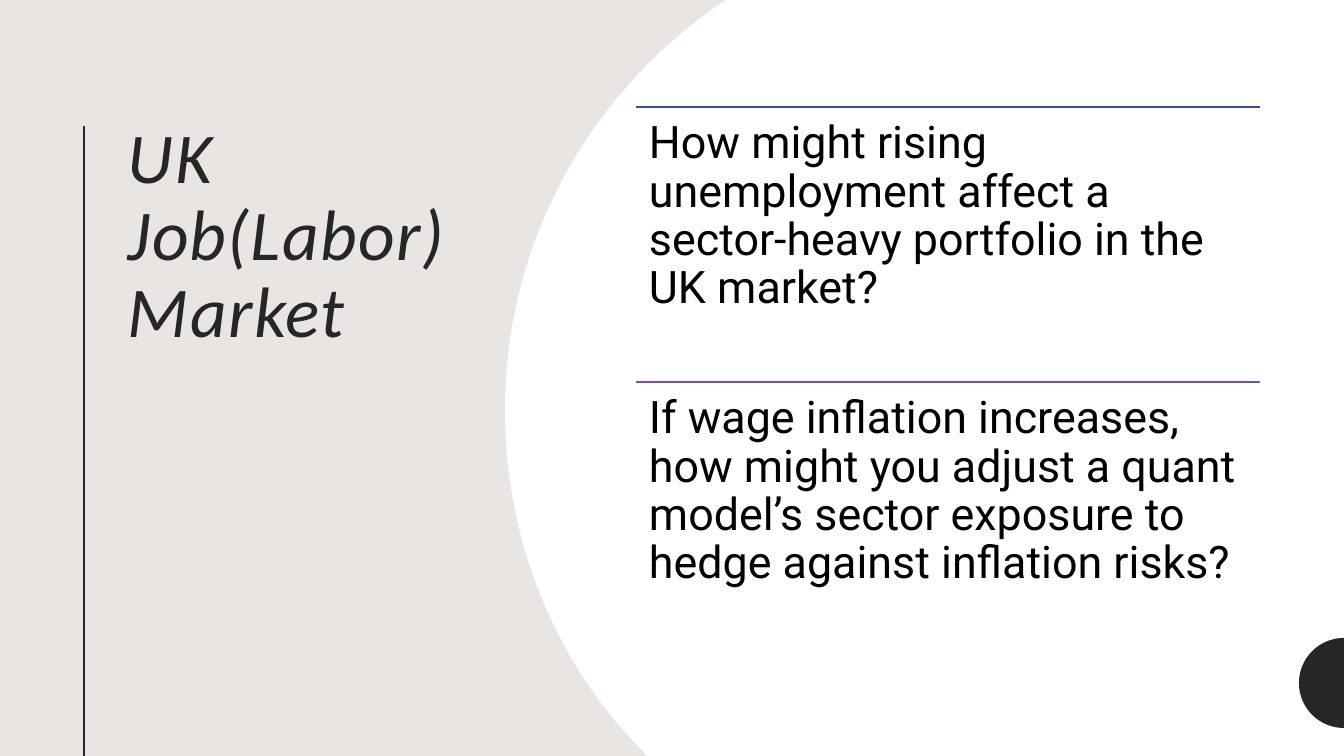
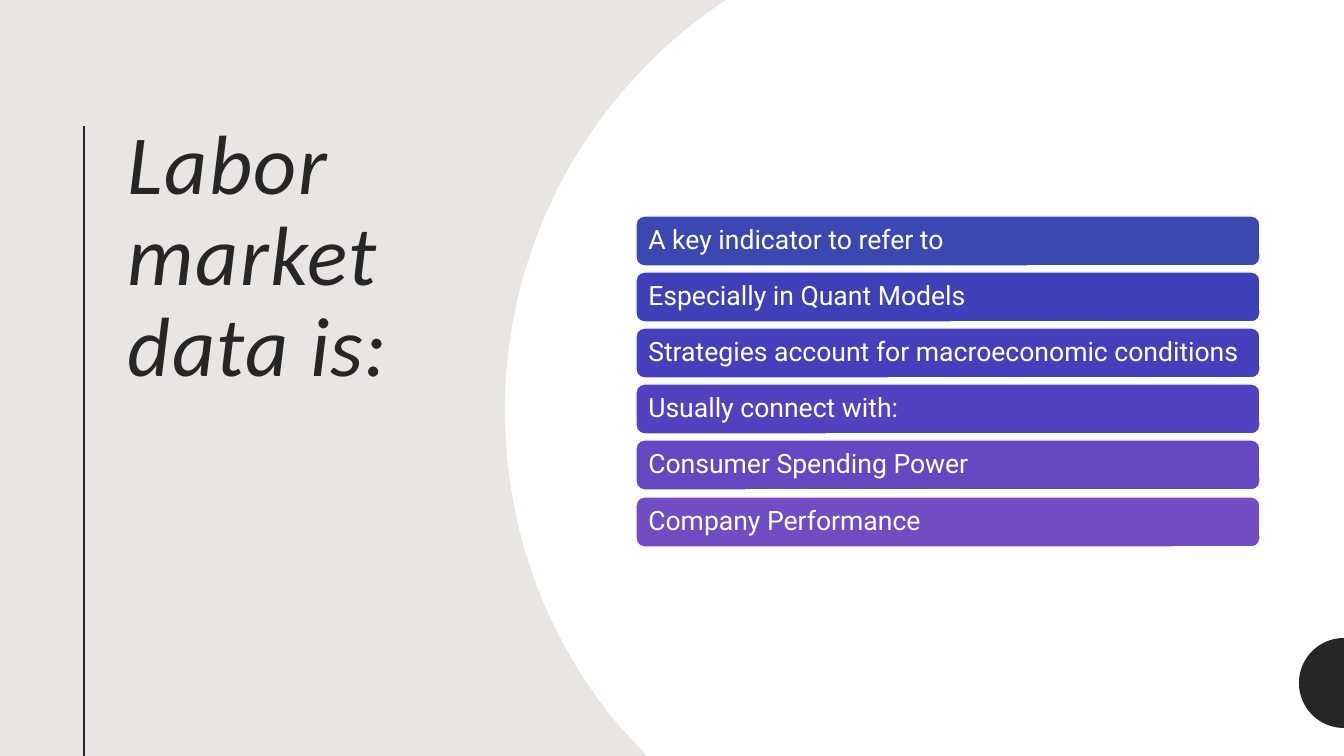
from math import cos, pi, sin
from lxml.etree import SubElement
from pptx import Presentation
from pptx.dml.color import RGBColor
from pptx.enum.shapes import MSO_CONNECTOR as LINK, MSO_SHAPE as SHAPE
from pptx.enum.text import MSO_ANCHOR as ANCHOR, PP_ALIGN as ALIGN
from pptx.oxml.ns import qn
from pptx.util import Pt

PX = 12192000 / 1344
WIDE, HIGH = 1344, 756
SAND, DARK, WHITE, BLACK = "E8E5E2", "262626", "FFFFFF", "000000"
LEFT, SPAN = 636, 624


def px(*nums):
    return [round(n * PX) for n in nums]


def hue(code):
    return RGBColor.from_string(code)


deck = Presentation()
deck.slide_width, deck.slide_height = px(WIDE, HIGH)

curves = [
    [(616, 722), (546, 637), (505, 529), (505, 410)],
    [(505, 410), (505, 242), (590, 93), (720, 4)],
]
dome = [(727, 0), (WIDE, 0), (WIDE, HIGH), (647, HIGH)]
for a, b, c, d in curves:
    for step in range(41):
        t = step / 40
        u = 1 - t
        dome.append([
            u**3 * p + 3 * u * u * t * q + 3 * u * t * t * r + t**3 * s
            for p, q, r, s in zip(a, b, c, d)
        ])
disc = [
    (WIDE - 45 * sin(k * pi / 40), 683 - 45 * cos(k * pi / 40))
    for k in range(41)
]

head = {"name": "Calibri", "italic": True}
ask = {"name": "Roboto", "size": Pt(32)}
item = {"name": "Roboto", "size": Pt(19)}

pages = [
    ("UK Job(Labor) Market", 51, [
        ("How might rising unemployment affect a sector-heavy portfolio in the UK market?", "3B48B1"),
        ("If wage inflation increases, how might you adjust a quant model’s sector exposure to hedge against inflation risks?", "714DC3"),
    ], []),
    ("Labor market data is:", 60, [], [
        ("A key indicator to refer to", "3B48B1"),
        ("Especially in Quant Models", "3D40B6"),
        ("Strategies account for macroeconomic conditions", "463FBC"),
        ("Usually connect with:", "5342C0"),
        ("Consumer Spending Power", "6348C1"),
        ("Company Performance", "714DC3"),
    ]),
]

for title, size, asks, items in pages:
    slide = deck.slides.add_slide(deck.slide_layouts[6])
    back = slide.background.fill
    back.solid()
    back.fore_color.rgb = hue(SAND)
    shapes = slide.shapes

    for dots, tint in [(dome, WHITE), (disc, DARK)]:
        pen = shapes.build_freeform(*px(*dots[0]))
        pen.add_line_segments([px(*dot) for dot in dots[1:]], close=True)
        form = pen.convert_to_shape()
        form.shadow.inherit = False
        form.fill.solid()
        form.fill.fore_color.rgb = hue(tint)
        form.line.fill.background()

    lines = [(84, 126, 84, HIGH, DARK, 1.5)]
    texts = [(shapes.add_textbox(*px(118, 117, 344, 530)), title,
              head | {"size": Pt(size)}, DARK, (10, 5), ANCHOR.TOP)]

    for i, (text, tint) in enumerate(asks):
        top = 107 + i * 275
        lines.append((LEFT, top, LEFT + SPAN, top, tint, 1))
        box = shapes.add_textbox(*px(LEFT, top, SPAN, 275))
        texts.append((box, text, ask, BLACK, (13, 13), ANCHOR.TOP))

    for i, (text, tint) in enumerate(items):
        top = 216 + i * 281 // 5
        bar = shapes.add_shape(SHAPE.ROUNDED_RECTANGLE, *px(LEFT, top, SPAN, 50))
        bar.shadow.inherit = False
        bar.fill.solid()
        bar.fill.fore_color.rgb = hue(tint)
        bar.line.color.rgb = hue(WHITE)
        bar.line.width = Pt(1)
        texts.append((bar, text, item, WHITE, (10, 8), ANCHOR.MIDDLE))

    for x1, y1, x2, y2, tint, width in lines:
        rule = shapes.add_connector(LINK.STRAIGHT, *px(x1, y1, x2, y2))
        rule.line.color.rgb = hue(tint)
        rule.line.width = Pt(width)
        SubElement(rule._element.spPr, qn("a:effectLst"))

    for box, text, style, tint, (side, edge), anchor in texts:
        frame = box.text_frame
        frame.word_wrap = True
        frame.vertical_anchor = anchor
        frame.margin_left, frame.margin_right = px(side, side)
        frame.margin_top, frame.margin_bottom = px(edge, edge)
        para = frame.paragraphs[0]
        para.alignment = ALIGN.LEFT
        para.line_spacing = 0.9
        run = para.add_run()
        run.text = text
        for key, val in style.items():
            setattr(run.font, key, val)
        run.font.color.rgb = hue(tint)
        if text == title:
            run._r.get_or_add_rPr().set("spc", "100")

deck.save("out.pptx")
